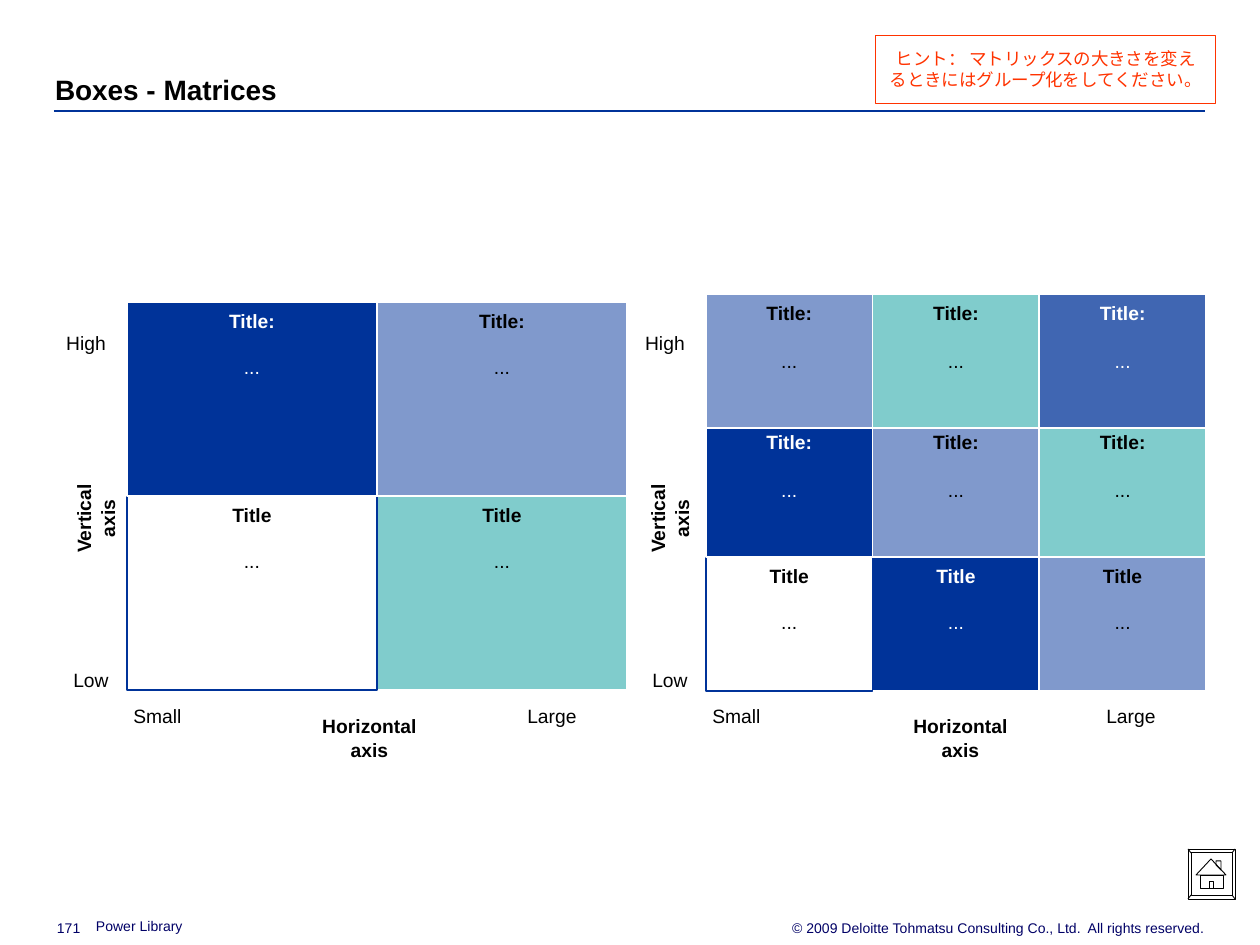
from dataclasses import dataclass
from lxml import etree
from pptx import Presentation
from pptx.dml.color import RGBColor
from pptx.enum.shapes import MSO_CONNECTOR, MSO_SHAPE
from pptx.enum.text import MSO_ANCHOR, PP_ALIGN
from pptx.oxml.ns import qn
from pptx.util import Pt

LEFT, CENTER, RIGHT = PP_ALIGN.LEFT, PP_ALIGN.CENTER, PP_ALIGN.RIGHT
TOP, BOTTOM = MSO_ANCHOR.TOP, MSO_ANCHOR.BOTTOM
RECTANGLE = MSO_SHAPE.RECTANGLE
STRAIGHT = MSO_CONNECTOR.STRAIGHT
SCALE = 914400 / 126


@dataclass(frozen=True)
class Theme:
    font: str = "Arial"
    black: str = "000000"
    white: str = "FFFFFF"
    navy: str = "003399"
    blue: str = "4066B2"
    periwinkle: str = "8099CC"
    teal: str = "80CCCC"
    footer: str = "000066"
    hint: str = "FF3300"
    title_size: int = 16
    body_size: int = 11
    hint_size: int = 10
    footer_size: int = 8
    spacing: float = 1.04


THEME = Theme()
NAVY, BLUE, PERIWINKLE, TEAL, WHITE = (
    THEME.navy, THEME.blue, THEME.periwinkle, THEME.teal, THEME.white)

TITLE = "Boxes - Matrices"
HINT = "ヒント： マトリックスの大きさを変えるときにはグループ化をしてください。"
FOOTERS = [
    ("© 2009 Deloitte Tohmatsu Consulting Co., Ltd.  All rights reserved.",
     (726, 920, 479, 16), RIGHT, TOP),
    ("Power Library", (96, 918, 557, 16), LEFT, BOTTOM),
    ("171", (57, 920, 40, 16), LEFT, BOTTOM),
]

MATRIX_WIDTH = 500
MATRICES = [
    {"left": 127, "row_height": 194, "vertical_left": 30, "horizontal_left": 299,
     "rows": [(302, 13, "Title:", [NAVY, PERIWINKLE]),
              (496, 13, "Title", [WHITE, TEAL])]},
    {"left": 706, "row_height": 134, "vertical_left": 604, "horizontal_left": 890,
     "rows": [(294, 14, "Title:", [PERIWINKLE, TEAL, BLUE]),
              (423, 14, "Title:", [NAVY, PERIWINKLE, TEAL]),
              (557, 13, "Title", [WHITE, NAVY, PERIWINKLE])]},
]
SCALE_LABELS = [
    ("High", -73, 324, 64), ("Low", -66, 661, 60),
    ("Small", -6, 697, 73), ("Large", 388, 697, 74),
]
HOME_BUTTON = [
    ([(1188, 849), (1235, 849), (1235, 899), (1188, 899)], True),
    ([(1191, 853), (1232, 853), (1232, 895), (1191, 895)], True),
    ([(1188, 849), (1191, 853)], False),
    ([(1235, 849), (1232, 853)], False),
    ([(1235, 899), (1232, 895)], False),
    ([(1188, 899), (1191, 895)], False),
    ([(1211, 859), (1226, 875), (1196, 875)], True),
    ([(1200, 875), (1200, 889), (1223, 889), (1223, 875)], True),
    ([(1209, 889), (1209, 881), (1213, 881), (1213, 889)], True),
    ([(1216, 865), (1216, 861), (1221, 861), (1221, 870)], True),
]


def px(length):
    return round(length * SCALE)


def rgb(color):
    return RGBColor.from_string(color)


def set_all(target, values):
    for name, value in values.items():
        setattr(target, name, value)


def write(shape, lines, size, color, align=LEFT, anchor=TOP, inset=(0, 0),
          wrap=True, spacing=1.0):
    frame = shape.text_frame
    across, down = map(px, inset)
    set_all(frame, {"word_wrap": wrap, "vertical_anchor": anchor,
                    "margin_left": across, "margin_right": across,
                    "margin_top": down, "margin_bottom": down})
    for index, (text, bold, space_before) in enumerate(lines):
        paragraph = frame.add_paragraph() if index else frame.paragraphs[0]
        set_all(paragraph, {"alignment": align, "line_spacing": spacing})
        if space_before:
            paragraph.space_before = Pt(space_before)
        run = paragraph.add_run()
        run.text = text
        set_all(run.font, {"name": THEME.font, "size": Pt(size), "bold": bold})
        run.font.color.rgb = rgb(color)


def add_text(slide, box, text, size, color, bold=False, **layout):
    shape = slide.shapes.add_textbox(*map(px, box))
    write(shape, [(text, bold, 0)], size, color, **layout)
    return shape


def style(shape, fill, line, width):
    shape.shadow.inherit = False
    if fill:
        shape.fill.solid()
        shape.fill.fore_color.rgb = rgb(fill)
    else:
        shape.fill.background()
    shape.line.color.rgb = rgb(line)
    shape.line.width = Pt(width)


def add_rectangle(slide, box, fill, line, width):
    shape = slide.shapes.add_shape(RECTANGLE, *map(px, box))
    style(shape, fill, line, width)
    return shape


def add_header(slide):
    rule = slide.shapes.add_connector(STRAIGHT, px(54), px(111), px(1205), px(111))
    rule.line.color.rgb = rgb(NAVY)
    rule.line.width = Pt(1.5)
    etree.SubElement(rule._element.spPr, qn("a:effectLst"))
    add_text(slide, (55, 71, 1150, 35), TITLE, THEME.title_size, THEME.black,
             bold=True, anchor=BOTTOM, spacing=THEME.spacing)


def add_home_button(slide):
    (start, _), *_ = HOME_BUTTON
    builder = slide.shapes.build_freeform(*start[0], scale=SCALE)
    for index, (points, closed) in enumerate(HOME_BUTTON):
        if index:
            builder.move_to(*points[0])
        builder.add_line_segments(points[1:], close=closed)
    style(builder.convert_to_shape(), None, THEME.black, 0.5)


def add_matrix(slide, matrix):
    left = matrix["left"]
    for top, gap, heading, fills in reversed(matrix["rows"]):
        width = MATRIX_WIDTH / len(fills)
        for column, fill in reversed(list(enumerate(fills))):
            cell = add_rectangle(
                slide, (left + column * width, top, width, matrix["row_height"]),
                fill, NAVY if fill == WHITE else WHITE, 1)
            write(cell, [(heading, True, 0), ("...", False, gap)], THEME.body_size,
                  WHITE if fill in (NAVY, BLUE) else THEME.black,
                  align=CENTER, inset=(13, 6), spacing=THEME.spacing)

    label = {"size": THEME.body_size, "color": THEME.black, "align": CENTER,
             "spacing": THEME.spacing}
    for text, offset, top, width in SCALE_LABELS:
        add_text(slide, (left + offset, top, width, 36), text,
                 wrap=False, inset=(0, 6), **label)
    axis = {**label, "bold": True, "inset": (13, 6)}
    vertical = add_text(slide, (matrix["vertical_left"], 489, 129, 59),
                        "Vertical axis", **axis)
    vertical.rotation = 270
    add_text(slide, (matrix["horizontal_left"], 707, 141, 59),
             "Horizontal axis", **axis)


def main():
    deck = Presentation()
    set_all(deck, {"slide_width": px(1260), "slide_height": px(945)})
    slide = deck.slides.add_slide(deck.slide_layouts[6])
    add_header(slide)
    add_home_button(slide)
    for text, box, align, anchor in FOOTERS:
        add_text(slide, box, text, THEME.footer_size, THEME.footer,
                 align=align, anchor=anchor)
    for matrix in MATRICES:
        add_matrix(slide, matrix)
    hint = add_rectangle(slide, (875, 35, 341, 68), None, THEME.hint, 0.5)
    write(hint, [(HINT, False, 0)], THEME.hint_size, THEME.hint,
          align=CENTER, inset=(13, 13))
    deck.save("out.pptx")


if __name__ == "__main__":
    main()
